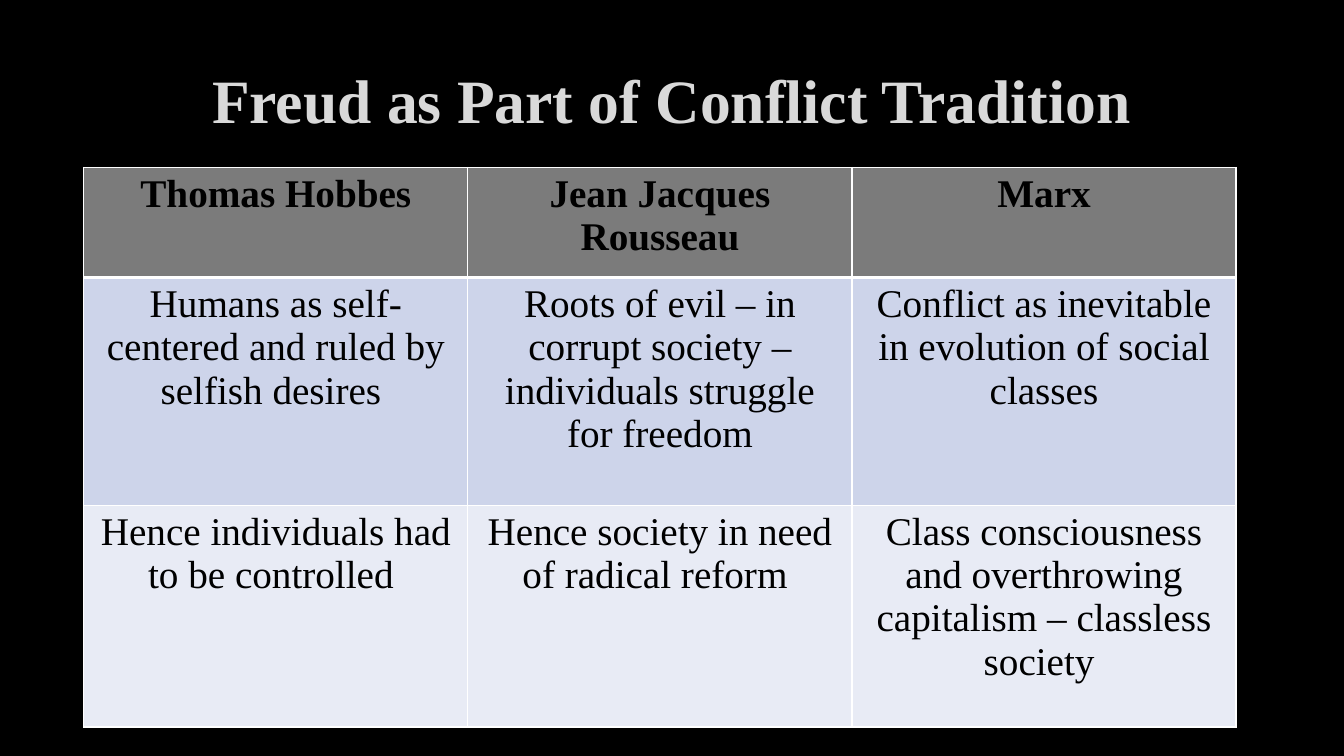
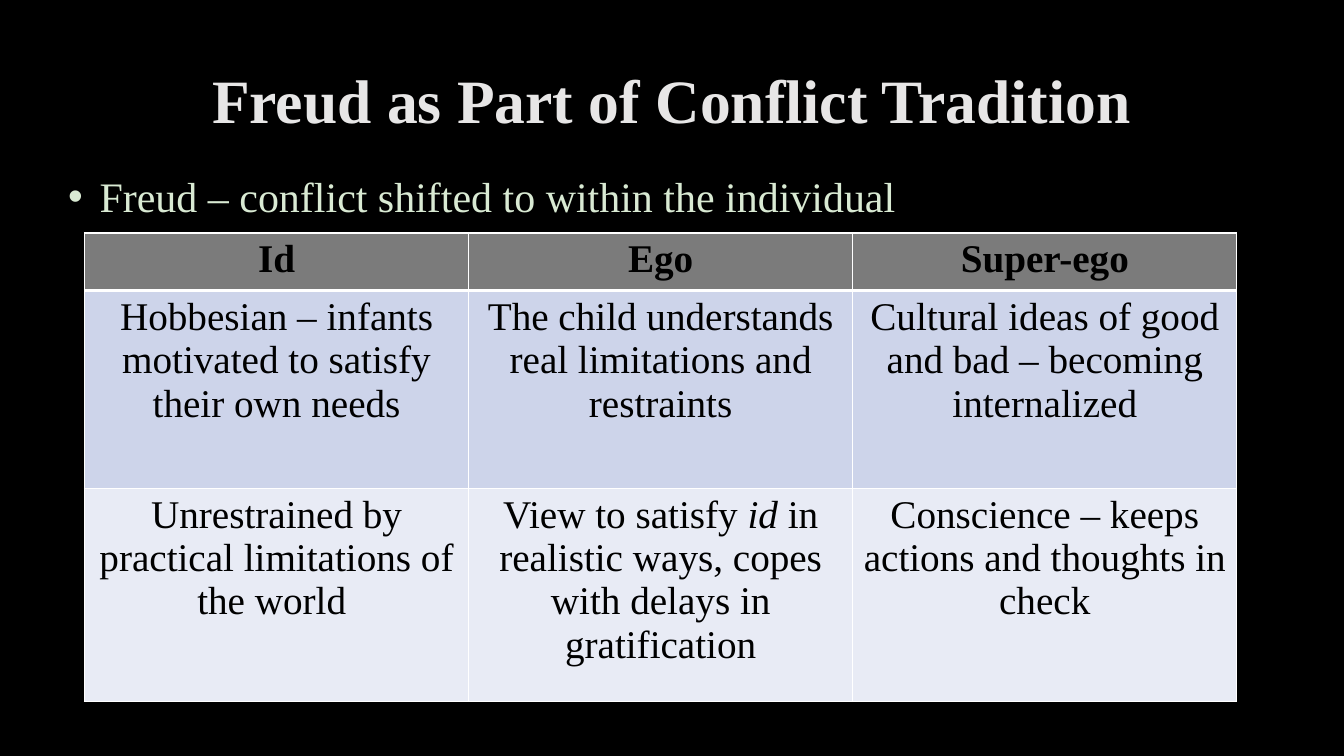
from lxml import etree
from pptx import Presentation
from pptx.dml.color import RGBColor
from pptx.enum.text import MSO_ANCHOR, PP_ALIGN
from pptx.oxml.ns import qn
from pptx.util import Cm, Pt

CENTER = PP_ALIGN.CENTER
LEFT = PP_ALIGN.LEFT
MIDDLE = MSO_ANCHOR.MIDDLE
TOP = MSO_ANCHOR.TOP

FONT = "Times New Roman"
TITLE = "Freud as Part of Conflict Tradition"
COLORS = {
    "background": "000000",
    "title_grey": "D9D9D9",
    "title_light": "E7E6E6",
    "bullet": "D9EAD3",
    "cell_text": "000000",
    "border": "FFFFFF",
    "header": "7B7B7B",
    "band_dark": "CDD4EA",
    "band_light": "E8EBF5",
}
ROW_FILLS = ["header", "band_dark", "band_light"]
COLUMN_WIDTH = 9.68

# Table texts; words between asterisks are italic
THINKERS = [
    ["Thomas Hobbes", "Jean Jacques Rousseau", "Marx"],
    ["Humans as self-centered and ruled by selfish desires ",
     "Roots of evil – in corrupt society – individuals struggle for freedom",
     "Conflict as inevitable in evolution of social classes"],
    ["Hence individuals had to be controlled ",
     "Hence society in need of radical reform ",
     "Class consciousness and overthrowing capitalism – classless society "],
]
PSYCHE = [
    ["Id", "Ego", "Super-ego"],
    ["Hobbesian – infants motivated to satisfy their own needs",
     "The child understands real limitations and restraints",
     "Cultural ideas of good and bad – becoming internalized"],
    ["Unrestrained by practical limitations of the world ",
     "View to satisfy *id* in realistic ways, copes with delays in gratification",
     "Conscience – keeps actions and thoughts in check"],
]


def rgb(name):
    return RGBColor.from_string(COLORS[name])


def write(p, text, size, color, bold=False, align=CENTER):
    """Fill a paragraph, with every second part between asterisks in italics."""
    p.alignment = align
    for i, part in enumerate(text.split("*")):
        r = p.add_run()
        r.text = part
        r.font.name = FONT
        r.font.size = Pt(size)
        r.font.bold = bold
        r.font.color.rgb = rgb(color)
        if i % 2:
            r.font.italic = True


def add_text_box(s, left, top, width, height, anchor):
    sp = s.shapes.add_textbox(Cm(left), Cm(top), Cm(width), Cm(height))
    tf = sp.text_frame
    tf.word_wrap = True
    tf.vertical_anchor = anchor
    return tf.paragraphs[0]


def add_slide(prs, title_color):
    """Add a black slide with the shared title."""
    s = prs.slides.add_slide(prs.slide_layouts[6])
    s.background.fill.solid()
    s.background.fill.fore_color.rgb = rgb("background")
    p = add_text_box(s, 2.33, 0.76, 29.21, 3.68, MIDDLE)
    p.line_spacing = 0.9
    write(p, TITLE, 44, title_color, bold=True)
    return s


def add_bullet(s, text):
    p = add_text_box(s, 1.47, 4.17, 30.86, 2.82, TOP)
    write(p, text, 30, "bullet", align=LEFT)
    pPr = p._p.get_or_add_pPr()
    pPr.set("marL", str(Cm(0.79)))
    pPr.set("indent", str(Cm(-0.79)))
    color = etree.SubElement(pPr, qn("a:buClr"))
    etree.SubElement(color, qn("a:srgbClr"), val=COLORS["bullet"])
    etree.SubElement(pPr, qn("a:buFont"), typeface="Arial")
    etree.SubElement(pPr, qn("a:buChar"), char="•")


def set_borders(cell, top, bottom):
    """Draw the four cell edges; top and bottom are widths in points."""
    tcPr = cell._tc.get_or_add_tcPr()
    for side, width in {"L": 1, "R": 1, "T": top, "B": bottom}.items():
        ln = etree.SubElement(tcPr, qn("a:ln" + side), w=str(Pt(width)))
        fill = etree.SubElement(ln, qn("a:solidFill"))
        etree.SubElement(fill, qn("a:srgbClr"), val=COLORS["border"])


def add_grid(s, left, top, heights, rows):
    """Add a table with a header row and two bands."""
    columns = len(rows[0])
    table = s.shapes.add_table(
        len(rows), columns, Cm(left), Cm(top),
        Cm(COLUMN_WIDTH * columns), Cm(sum(heights))).table
    for column in table.columns:
        column.width = Cm(COLUMN_WIDTH)
    for i, texts in enumerate(rows):
        table.rows[i].height = Cm(heights[i])
        for j, text in enumerate(texts):
            cell = table.cell(i, j)
            # Thick rule between the header and the body
            set_borders(cell, 3 if i == 1 else 1, 3 if i == 0 else 1)
            cell.fill.solid()
            cell.fill.fore_color.rgb = rgb(ROW_FILLS[i])
            write(cell.text_frame.paragraphs[0], text, 28, "cell_text",
                  bold=i == 0)


def main():
    prs = Presentation()
    prs.slide_width, prs.slide_height = Cm(33.87), Cm(19.05)

    # Earlier thinkers
    s = add_slide(prs, "title_grey")
    add_grid(s, 2.11, 4.22, [2.77, 5.74, 5.59], THINKERS)

    # Conflict within the individual
    s = add_slide(prs, "title_light")
    add_bullet(s, "Freud – conflict shifted to within the individual ")
    add_grid(s, 2.13, 5.87, [1.45, 4.98, 5.38], PSYCHE)

    prs.save("out.pptx")


main()
